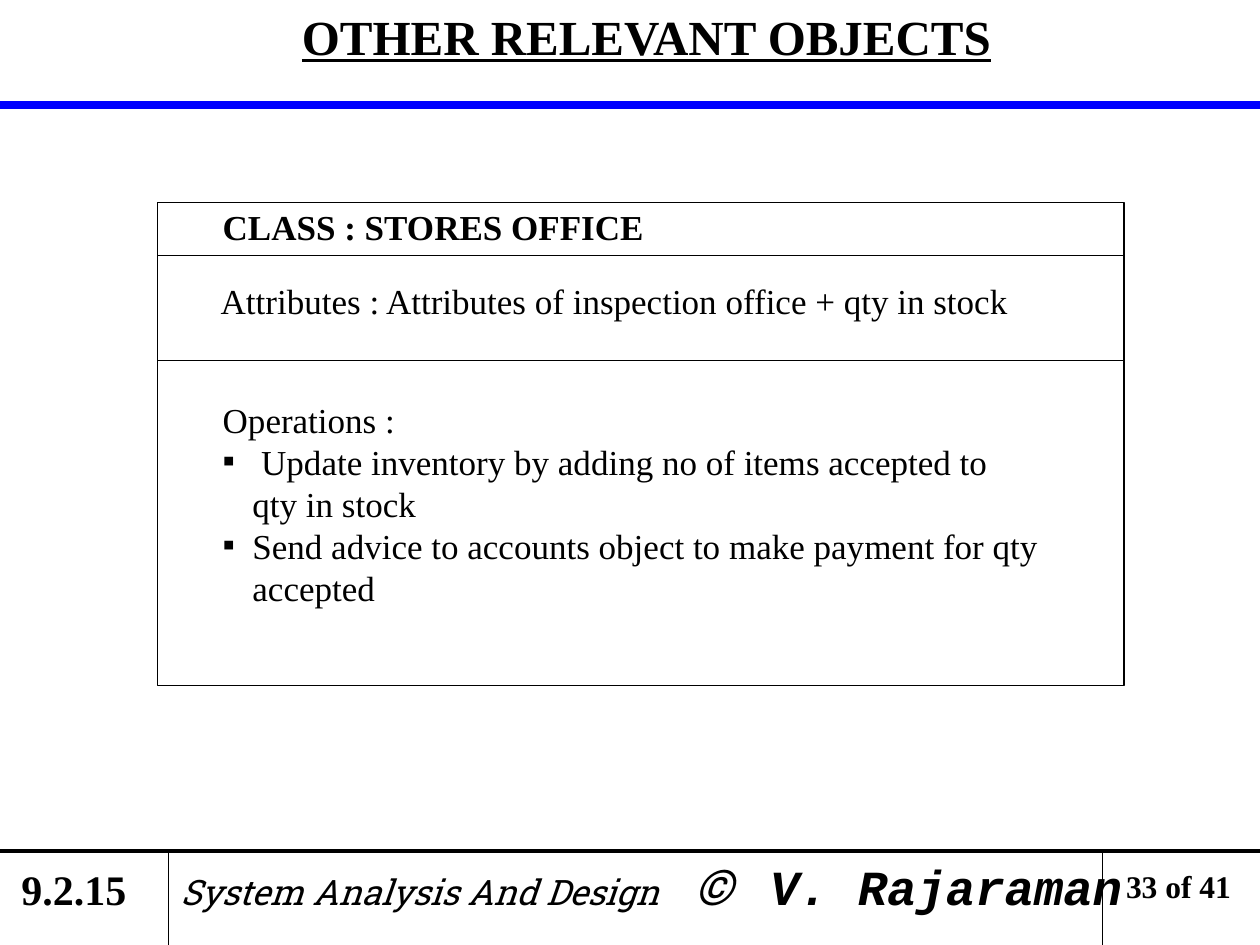
import pptx
import pptx.util
import pptx.dml.color
import pptx.enum.shapes
import pptx.enum.text
from lxml import etree

Cm, Pt = pptx.util.Cm, pptx.util.Pt
HUES = {"ink": "000000", "rule": "0000FF", "page": "FFFFFF"}
SERIF, SLAB, MONO = "Times New Roman", "Roboto Slab", "Courier New"
NS = "http://schemas.openxmlformats.org/drawingml/2006/main"


def hue(name):
    return pptx.dml.color.RGBColor.from_string(HUES[name])


def node(parent, tag, **attrs):
    """Add one drawing element with its attributes."""
    item = etree.SubElement(parent, f"{{{NS}}}{tag}")
    for key, value in attrs.items():
        item.set(key, str(value))
    return item


def style(font, size=20, face=SERIF, bold=False, italic=False, under=False):
    font.size, font.name = Pt(size), face
    font.bold, font.italic, font.underline = bold, italic, under
    font.color.rgb = hue("ink")


def text(slide, box, words, wrap=False, center=False, bullets=False, tabs=(), **form):
    """Place paragraphs; each is a string or a list of (string, format) runs."""
    frame = slide.shapes.add_textbox(*map(Cm, box)).text_frame
    frame.word_wrap = wrap
    for i, parts in enumerate(words):
        para = frame.paragraphs[0] if i == 0 else frame.add_paragraph()
        props = para._p.get_or_add_pPr()
        if bullets and i > 0:
            props.set("marL", str(Cm(0.6)))
            props.set("indent", str(Cm(-0.6)))
            tint = node(props, "buClr")
            node(tint, "srgbClr", val=HUES["ink"])
            node(props, "buFont", typeface=SERIF)
            node(props, "buChar", char="▪")
        if tabs:
            stops = node(props, "tabLst")
            for stop in tabs:
                node(stops, "tab", pos=Cm(stop), algn="l")
        if center:
            para.alignment = pptx.enum.text.PP_ALIGN.CENTER
        runs = [(parts, {})] if isinstance(parts, str) else parts
        for string, extra in runs:
            run = para.add_run()
            run.text = string
            style(run.font, **{**form, **extra})


def line(slide, x1, y1, x2, y2, width=0.75, color="ink"):
    kind = pptx.enum.shapes.MSO_CONNECTOR.STRAIGHT
    rule = slide.shapes.add_connector(kind, *map(Cm, (x1, y1, x2, y2)))
    rule.line.width = Pt(width)
    rule.line.color.rgb = hue(color)
    node(rule._element.spPr, "effectLst")


def header(slide, x, y, w, h):
    text(slide, (x + 1.07, y, w - 1.48, 1.45), ["OTHER RELEVANT OBJECTS"],
         wrap=True, center=True, size=28, bold=True, under=True)
    line(slide, x, y + h, x + w, y + h, 4.5, "rule")


def card(slide, x, y, w, h):
    """Class box with name, attributes and operations."""
    kind = pptx.enum.shapes.MSO_SHAPE.RECTANGLE
    frame = slide.shapes.add_shape(kind, *map(Cm, (x, y, w, h)))
    frame.shadow.inherit = False
    frame.fill.background()
    frame.line.width = Pt(0.75)
    frame.line.color.rgb = hue("ink")
    for drop in (1.06, 3.18):
        line(slide, x, y + drop, x + w, y + drop)
    text(slide, (x + 1.06, y - 0.07, 9.02, 1.12), ["CLASS : STORES OFFICE"], bold=True)
    text(slide, (x + 1.02, y + 1.42, 16.43, 1.12),
         ["Attributes : Attributes of inspection office + qty in stock"])
    text(slide, (x + 1.06, y + 3.81, 16.97, 4.5),
         ["Operations :",
          " Update inventory by adding no of items accepted to qty in stock",
          "Send advice to accounts object to make payment for qty accepted"],
         wrap=True, bullets=True)


def footer(slide, x, y, w, h):
    line(slide, x, y, x + w, y, 2.25)
    for step in (3.39, 22.23):
        line(slide, x + step, y, x + step, y + h)
    text(slide, (x + 0.18, y + 0.13, 2.62, 1.27), ["9.2.15"], size=24, bold=True)
    text(slide, (x + 3.39, y, 19.8, 1.45),
         [[("System Analysis And Design", {"size": 20}), ("\t©", {}),
           ("\tV. Rajaraman", {"face": MONO, "bold": True})]],
         wrap=True, tabs=(10.34, 11.88), size=28, face=SLAB, italic=True)
    text(slide, (x + 22.45, y + 0.2, 2.62, 1.02), ["33 of 41"], size=18, bold=True)


def main():
    deck = pptx.Presentation()
    deck.slide_width, deck.slide_height = Cm(25.4), Cm(19.05)
    slide = deck.slides.add_slide(deck.slide_layouts[6])
    slide.background.fill.solid()
    slide.background.fill.fore_color.rgb = hue("page")
    header(slide, 0, 0, 25.4, 2.11)
    card(slide, 3.18, 4.09, 19.48, 9.73)
    footer(slide, 0, 17.15, 25.4, 1.9)
    deck.save("out.pptx")


if __name__ == "__main__":
    main()
